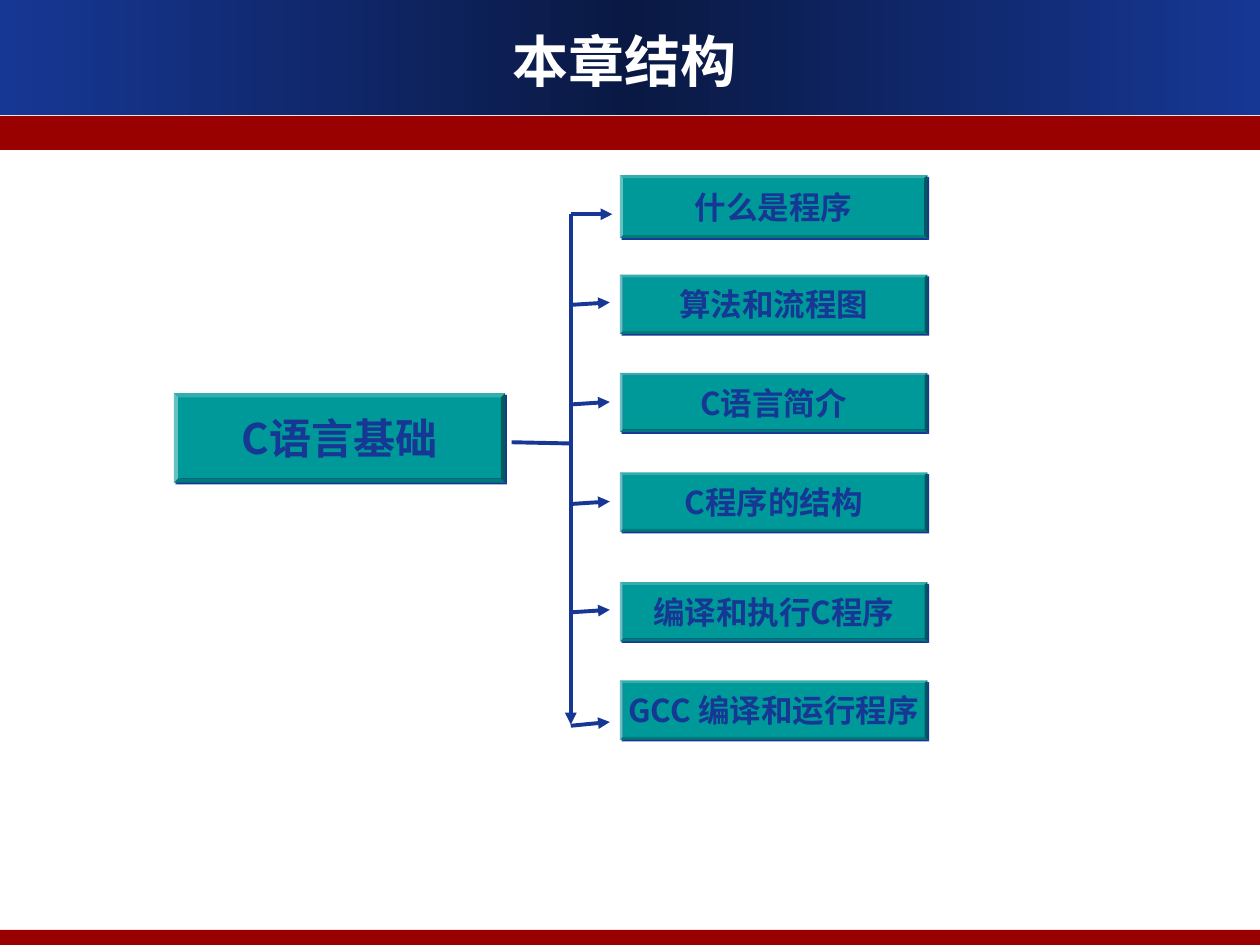
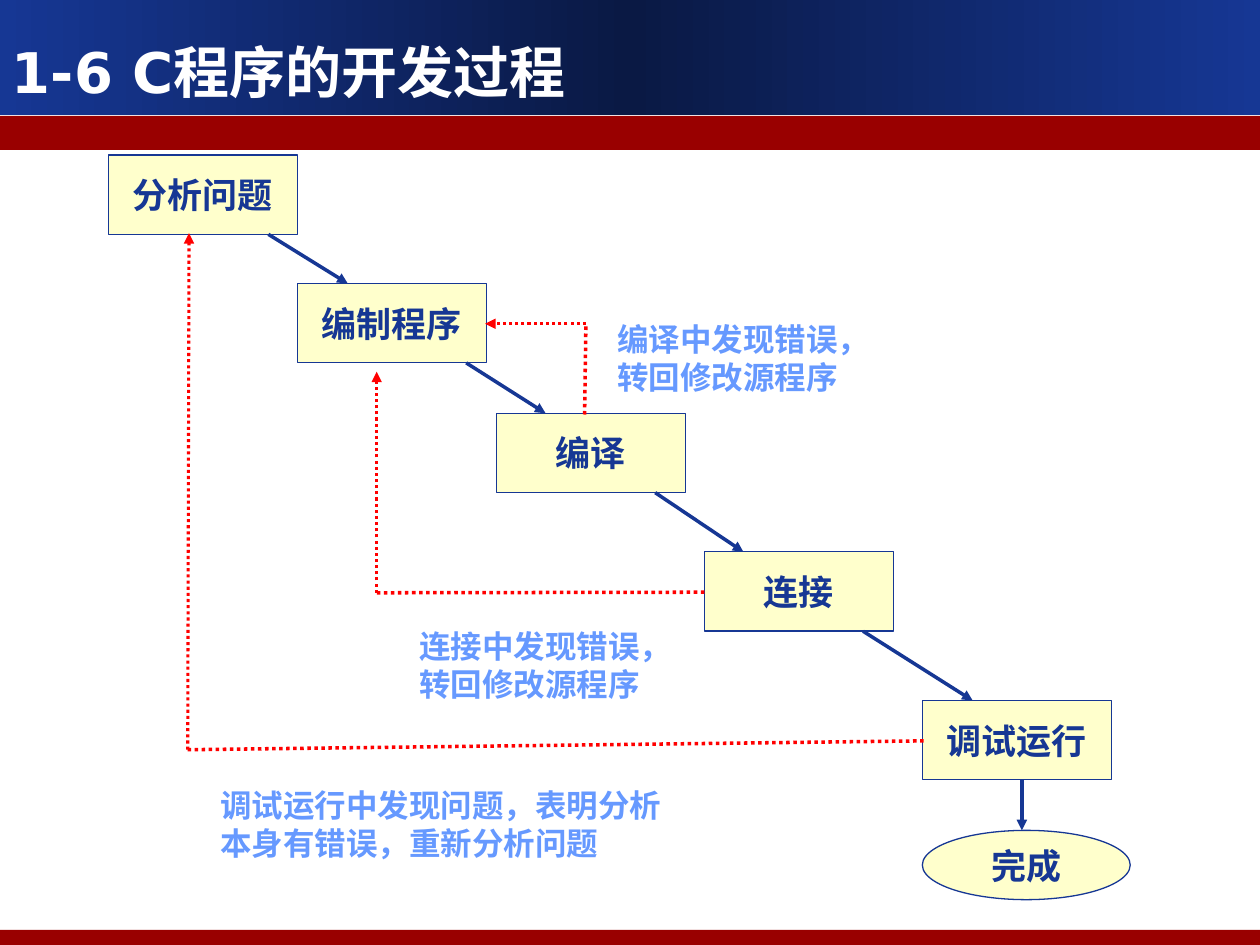
from copy import deepcopy
from dataclasses import dataclass

from lxml import etree
from pptx import Presentation
from pptx import util as u
from pptx.dml.color import RGBColor
from pptx.enum import dml, shapes, text
from pptx.oxml import ns

COLORS = {
    "navy": "163794", "night": "0A1944", "red": "990000", "teal": "009999",
    "cream": "FFFFCC", "sky": "6699FF", "alert": "FF0000", "white": "FFFFFF",
}
CJK = "Noto Sans CJK SC"
COLUMNS, ROWS = 100, 75
CELL = u.Inches(0.1)


@dataclass
class Box:
    """A region of the slide, in grid columns and rows."""
    col: float
    row: float
    cols: float
    rows: float

    def inner(self, col, row, cols, rows):
        return Box(self.col + col, self.row + row, cols, rows)

    def point(self, col, row):
        return self.col + col, self.row + row

    def emu(self):
        return [cells(n) for n in (self.col, self.row, self.cols, self.rows)]


def cells(count):
    return int(round(count * CELL))


def rgb(color):
    return RGBColor.from_string(COLORS[color])


def add_xml(parent, tag, **attributes):
    return etree.SubElement(parent, ns.qn(tag), attributes)


def write(frame, words, size=20, font="Arial", color="navy", align="CENTER",
          anchor="MIDDLE", wrap=False, inset=(0.1, 0.05), grow=False):
    """Put one bold paragraph into a text frame."""
    frame.word_wrap = wrap
    frame.vertical_anchor = text.MSO_ANCHOR[anchor]
    frame.margin_left = frame.margin_right = u.Inches(inset[0])
    frame.margin_top = frame.margin_bottom = u.Inches(inset[1])
    if grow:
        frame.auto_size = text.MSO_AUTO_SIZE.SHAPE_TO_FIT_TEXT
    paragraph = frame.paragraphs[0]
    paragraph.alignment = text.PP_ALIGN[align]
    run = paragraph.add_run()
    run.text = words
    run.font.size = u.Pt(size)
    run.font.bold = True
    run.font.name = font
    run.font.color.rgb = rgb(color)
    add_xml(run.font._element, "a:ea", typeface=CJK)


def add_panel(slide, box, fill, kind="RECTANGLE", outline=None):
    panel = slide.shapes.add_shape(shapes.MSO_SHAPE[kind], *box.emu())
    panel.shadow.inherit = False
    panel.fill.solid()
    panel.fill.fore_color.rgb = rgb(fill)
    if outline:
        panel.line.color.rgb = rgb(outline)
        panel.line.width = u.Pt(0.75)
    else:
        panel.line.fill.background()
    return panel


def add_text(slide, box, words, **style):
    write(slide.shapes.add_textbox(*box.emu()).text_frame, words, **style)


def add_line(slide, start, end, color="navy", width=2, dotted=False, arrow=True):
    ends = [cells(n) for n in (*start, *end)]
    link = slide.shapes.add_connector(shapes.MSO_CONNECTOR.STRAIGHT, *ends)
    link.line.color.rgb = rgb(color)
    link.line.width = u.Pt(width)
    if dotted:
        link.line.dash_style = dml.MSO_LINE.ROUND_DOT
    properties = link._element.spPr
    if arrow:
        add_xml(properties.find(ns.qn("a:ln")), "a:tailEnd", type="triangle")
    add_xml(properties, "a:effectLst")


# Bands and title shared by every slide
def add_frame(slide, title, title_box):
    header = add_panel(slide, Box(0, 0, COLUMNS, 9.1), "navy")
    header.fill.gradient()
    header.fill.gradient_angle = 0
    outer, middle = header.fill.gradient_stops
    outer.color.rgb, outer.position = rgb("navy"), 0
    middle.color.rgb, middle.position = rgb("night"), 0.5
    stop_list = header._element.spPr.find(".//" + ns.qn("a:gsLst"))
    last_stop = deepcopy(stop_list[0])
    last_stop.set("pos", "100000")
    stop_list.append(last_stop)

    for row, rows in ((9.2, 2.7), (73.8, 1.3)):
        add_panel(slide, Box(0, row, COLUMNS, rows), "red")
    add_text(slide, title_box, title, size=32, font="DejaVu Sans",
             color="white", wrap=True, inset=(0, 0))


# Raised teal button with a hard drop shadow
def add_button(slide, box, words, size):
    button = add_panel(slide, box, "teal", kind="BEVEL")
    button.adjustments[0] = 0.047
    effects = button._element.spPr.find(ns.qn("a:effectLst"))
    shadow = add_xml(effects, "a:outerShdw", blurRad="0",
                     dist=str(u.Pt(1.4)), dir="2700000", algn="ctr")
    add_xml(shadow, "a:srgbClr", val=COLORS["navy"])
    write(button.text_frame, words, size=size, font=CJK)


# Chapter tree: one root, a trunk and a branch to each topic
TOPICS = [  # words, top row, rows, branch start row, branch end row
    ("什么是程序", 0, 5, 3.1, 3.1),
    ("算法和流程图", 7.9, 4.7, 10.3, 10.1),
    ("C语言简介", 15.7, 4.7, 18.2, 18),
    ("C程序的结构", 23.6, 4.7, 26.1, 25.9),
    ("编译和执行C程序", 32.3, 4.7, 34.7, 34.5),
    ("GCC 编译和运行程序", 40.1, 4.7, 43.7, 43.4),
]


def add_chapter_tree(slide, box):
    trunk, topic_col, topic_cols = 31.5, 35.4, 24.4
    add_button(slide, box.inner(0, 17.3, 26.3, 7.1), "C语言基础", 24)
    add_line(slide, box.point(26.8, 21.2), box.point(trunk, 21.3),
             width=2.25, arrow=False)
    add_line(slide, box.point(trunk, 3.1), box.point(trunk, 43.6), width=2.25)
    for words, row, rows, branch_start, branch_end in TOPICS:
        add_button(slide, box.inner(topic_col, row, topic_cols, rows), words, 18)
        tip = topic_col - (0.6 if row == 0 else 0.8)
        add_line(slide, box.point(trunk, branch_start),
                 box.point(tip, branch_end), width=2.25)


# Development staircase: steps, forward arrows, error loops and remarks
STEPS = [  # words, column, row
    ("分析问题", 0, 0),
    ("编制程序", 15, 10.2),
    ("编译", 30.8, 20.5),
    ("连接", 47.3, 31.5),
    ("调试运行", 64.6, 43.3),
]
STEP_COLS, STEP_ROWS = 15, 6.3
DEPARTURES = [12.7, 13.4, 12.6, 12.6]  # columns from the left of a step
ARRIVALS = [4, 3.9, 3.1, 4]  # columns from the left of the next step
LOOPS = [  # start, corner, arrow tip
    ((37.8, 20.6), (37.9, 13.4), (29.9, 13.4)),
    ((47.3, 34.7), (21.3, 34.75), (21.3, 17.2)),
    ((64.7, 46.5), (6.3, 47.2), (6.4, 6.2)),
]
REMARKS = [  # words, column, row, columns
    ("编译中发现错误，转回修改源程序", 39.4, 12.6, 22.1),
    ("连接中发现错误，转回修改源程序", 23.7, 37, 22),
    ("调试运行中发现问题，表明分析本身有错误，重新分析问题", 7.9, 49.6, 37),
]


def add_staircase(slide, box):
    for words, col, row in STEPS:
        step = add_panel(slide, box.inner(col, row, STEP_COLS, STEP_ROWS),
                         "cream", outline="navy")
        write(step.text_frame, words)
    finish = add_panel(slide, box.inner(64.6, 53.6, 16.5, 5.5), "cream",
                       kind="OVAL", outline="navy")
    write(finish.text_frame, "完成")

    for step, following, leave, reach in zip(STEPS, STEPS[1:], DEPARTURES, ARRIVALS):
        add_line(slide, box.point(step[1] + leave, step[2] + STEP_ROWS),
                 box.point(following[1] + reach, following[2]))
    add_line(slide, box.point(72.5, 49.6), box.point(72.5, 53.6))

    for start, corner, tip in LOOPS:
        add_line(slide, box.point(*start), box.point(*corner),
                 color="alert", dotted=True, arrow=False)
        add_line(slide, box.point(*corner), box.point(*tip),
                 color="alert", width=1.75, dotted=True)
    for words, col, row, cols in REMARKS:
        add_text(slide, box.inner(col, row, cols, 7), words, size=18,
                 color="sky", align="LEFT", anchor="TOP", wrap=True, grow=True)


def main():
    deck = Presentation()
    deck.slide_width, deck.slide_height = cells(COLUMNS), cells(ROWS)
    blank = deck.slide_layouts[6]

    structure = deck.slides.add_slide(blank)
    add_frame(structure, "本章结构", Box(3.3, 1.6, 92.5, 6.3))
    add_chapter_tree(structure, Box(13.8, 13.9, 59.8, 44.8))

    process = deck.slides.add_slide(blank)
    add_frame(process, "1-6 C程序的开发过程", Box(-1.7, 1.6, 49.3, 8.1))
    add_staircase(process, Box(8.6, 12.3, 81.1, 59.1))

    deck.save("out.pptx")


if __name__ == "__main__":
    main()
